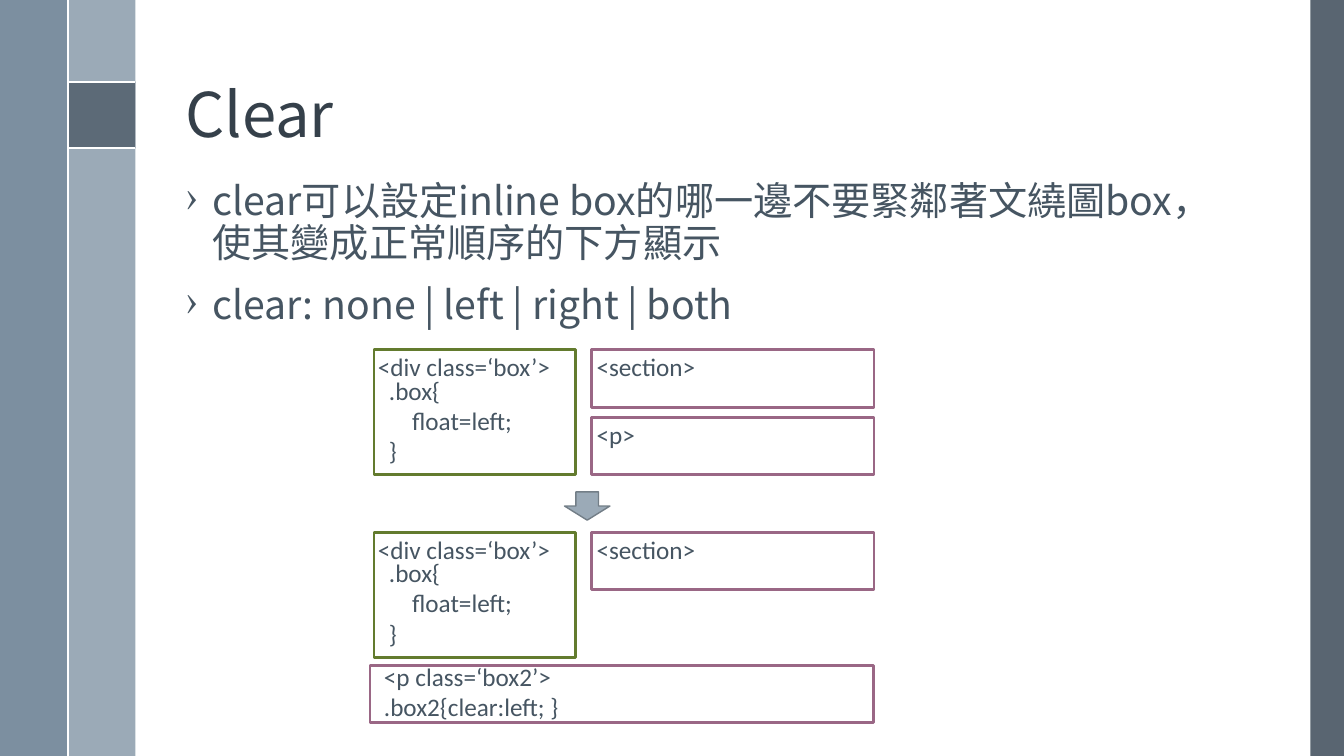
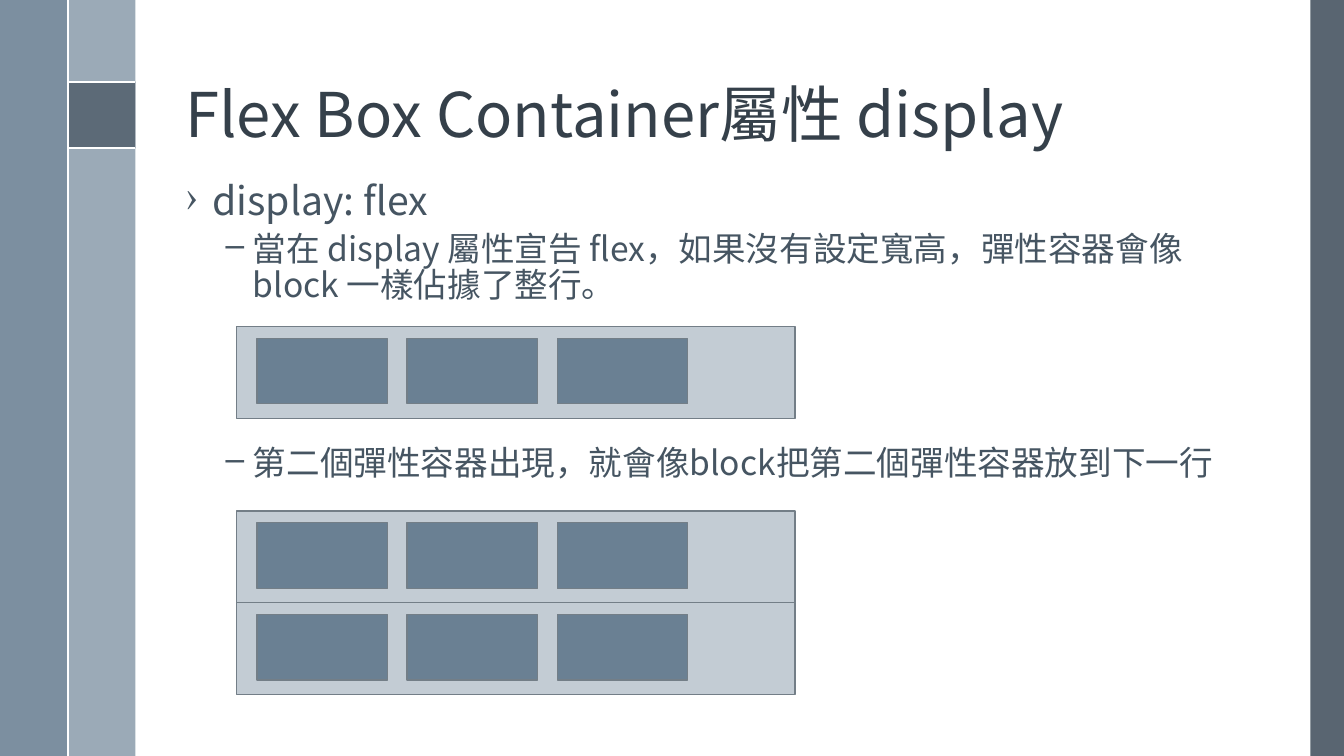
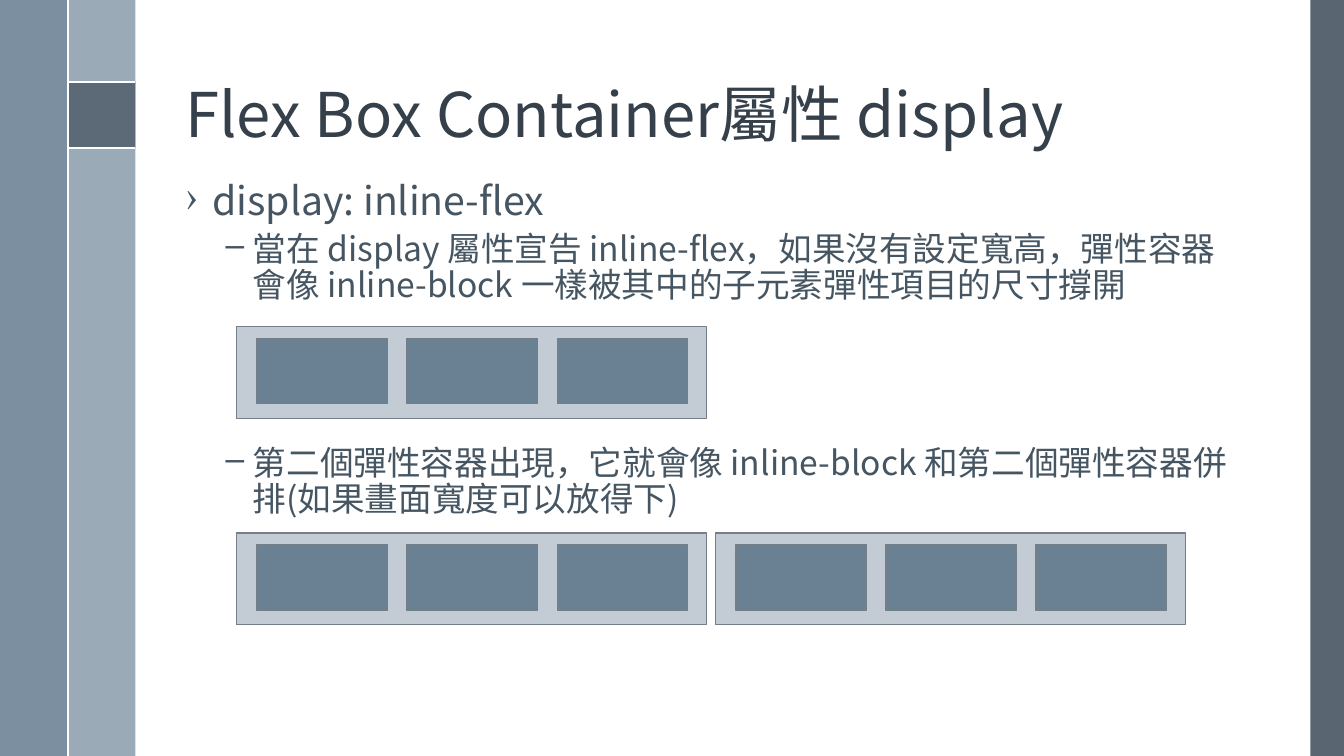
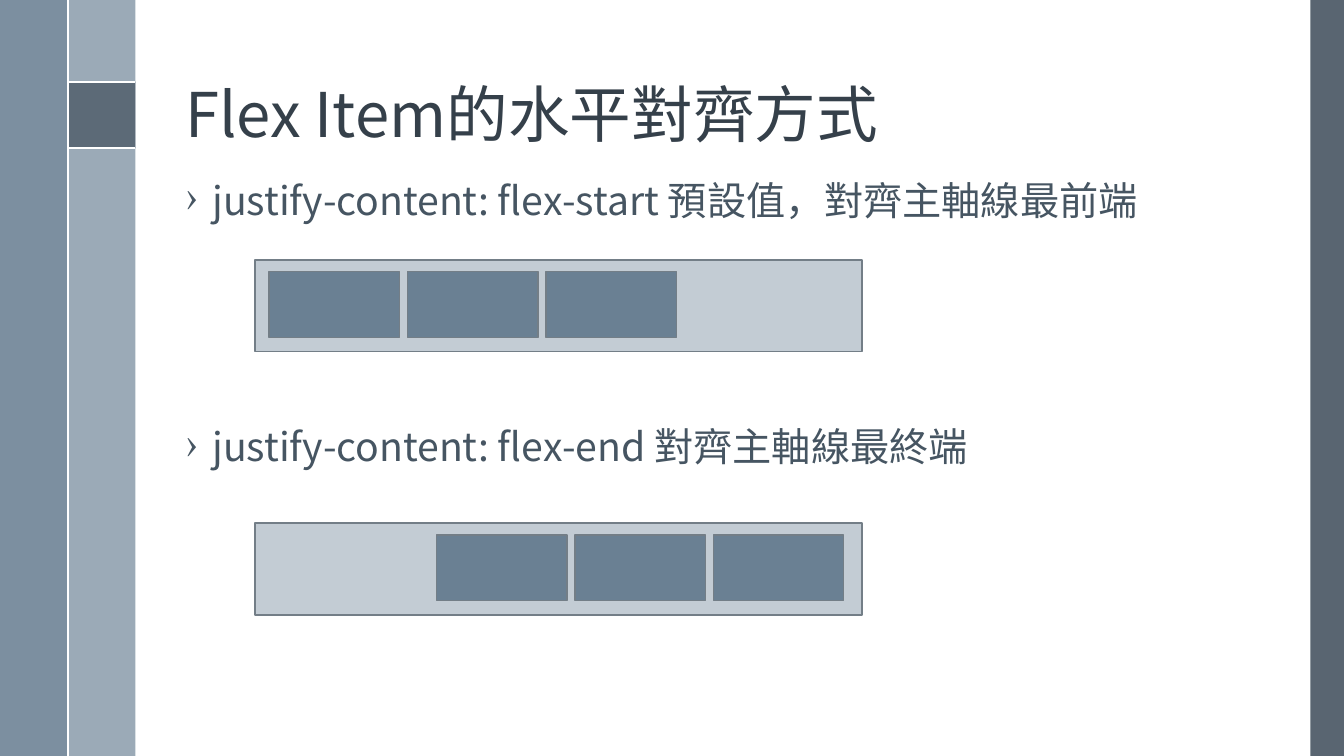
from pptx import Presentation, util as u
from pptx.dml.color import RGBColor
from pptx.enum import shapes, text
from pptx.oxml.ns import qn
from lxml import etree

# Colours and fonts
WHITE = RGBColor(0xFF, 0xFF, 0xFF)
TITLE_INK = RGBColor(0x35, 0x40, 0x4A)
BODY_INK = RGBColor(0x46, 0x55, 0x62)
SLATE = RGBColor(0x47, 0x55, 0x62)
STEEL = RGBColor(0x6A, 0x80, 0x93)
MIST = RGBColor(0x9B, 0xAA, 0xB7)
PALE = RGBColor(0xC3, 0xCC, 0xD4)
EDGE = RGBColor(0x73, 0x7E, 0x87)
GREEN = RGBColor(0x63, 0x7B, 0x2E)
PLUM = RGBColor(0x9A, 0x67, 0x85)
HEAD_FONT, CODE_FONT = "Noto Sans CJK TC", "Calibri"

# Slide size; every position is a percentage of it
deck = Presentation()
deck.slide_width, deck.slide_height = u.Inches(13.333), u.Inches(7.5)
COL, ROW = deck.slide_width / 100, deck.slide_height / 100

# Paragraph styles; indent and hang are in inches, before is in points
TITLE = dict(size=44, color=TITLE_INK, font=HEAD_FONT, spacing=0.9)
POINT = dict(size=28, color=BODY_INK, font=HEAD_FONT, spacing=0.9,
             before=14, bullet="›", indent=0.27, hang=0.27)
SUBPOINT = POINT | dict(size=24, before=6, bullet="–", indent=0.67)
POINT_BELOW = POINT | dict(before=146)
SUBPOINT_BELOW = SUBPOINT | dict(before=101)
CODE = dict(size=18, color=BODY_INK, font=CODE_FONT)
CODE_INNER = CODE | dict(indent=0.23)


def add_block(page, area, fill=None, edge=None, weight=1, opacity=100, kind="RECTANGLE"):
    left, top, width, height = area
    block = page.shapes.add_shape(getattr(shapes.MSO_SHAPE, kind), round(left * COL),
                                  round(top * ROW), round(width * COL), round(height * ROW))
    block.shadow.inherit = False
    if fill is None:
        block.fill.background()
    else:
        block.fill.solid()
        block.fill.fore_color.rgb = fill
        if opacity < 100:
            color = block.fill._xPr.find(".//" + qn("a:srgbClr"))
            etree.SubElement(color, qn("a:alpha"), val=str(opacity * 1000))
    if edge is None:
        block.line.fill.background()
    else:
        block.line.color.rgb = edge
        block.line.width = u.Pt(weight)


def add_text(page, area, lines, anchor=text.MSO_ANCHOR.TOP):
    left, top, width, height = area
    box = page.shapes.add_textbox(round(left * COL), round(top * ROW),
                                  round(width * COL), round(height * ROW))
    frame = box.text_frame
    frame.word_wrap, frame.vertical_anchor = True, anchor
    for number, (words, style) in enumerate(lines):
        para = frame.paragraphs[0] if number == 0 else frame.add_paragraph()
        para.line_spacing = style.get("spacing")
        para.space_before = u.Pt(style.get("before", 0))
        props = para._p.get_or_add_pPr()
        props.set("marL", str(u.Inches(style.get("indent", 0))))
        props.set("indent", str(-u.Inches(style.get("hang", 0))))
        if "bullet" in style:
            etree.SubElement(props, qn("a:buChar"), char=style["bullet"])
        span = para.add_run()
        span.text = words
        formats = dict(name=style["font"], size=u.Pt(style["size"]))
        for name, value in formats.items():
            setattr(span.font, name, value)
        span.font.color.rgb = style["color"]
        etree.SubElement(span._r.rPr, qn("a:ea"), typeface=style["font"])


# Titles and bullet text of the four slides
DISPLAY_TITLE = "Flex Box Container屬性 display"
contents = [
    ("Clear", [
        ("clear可以設定inline box的哪一邊不要緊鄰著文繞圖box，使其變成正常順序的下方顯示", POINT),
        ("clear: none | left | right | both", POINT)]),
    (DISPLAY_TITLE, [
        ("display: flex", POINT),
        ("當在 display 屬性宣告 flex，如果沒有設定寬高，彈性容器會像 block 一樣佔據了整行。", SUBPOINT),
        ("第二個彈性容器出現，就會像block把第二個彈性容器放到下一行", SUBPOINT_BELOW)]),
    (DISPLAY_TITLE, [
        ("display: inline-flex", POINT),
        ("當在 display 屬性宣告 inline-flex，如果沒有設定寬高，彈性容器會像 inline-block "
         "一樣被其中的子元素彈性項目的尺寸撐開", SUBPOINT),
        ("第二個彈性容器出現，它就會像 inline-block 和第二個彈性容器併排(如果畫面寬度可以放得下)",
         SUBPOINT_BELOW)]),
    ("Flex Item的水平對齊方式", [
        ("justify-content: flex-start 預設值，對齊主軸線最前端", POINT),
        ("justify-content: flex-end 對齊主軸線最終端", POINT_BELOW)]),
]

# Shared frame: side bands, white rules, title and body
STRIP = 5
MARK_TOP, MARK_BOTTOM = 10.8, 19.6
bands = [
    ((97.5, 0, 2.5, 100), SLATE, 90),
    ((STRIP + 0.08, 0, STRIP, 100), MIST, 100),
    ((0, 0, STRIP, 100), STEEL, 88),
    ((STRIP + 0.08, MARK_TOP, STRIP, MARK_BOTTOM - MARK_TOP), SLATE, 75),
]
rules = [
    (STRIP + 0.08, MARK_TOP, 2 * STRIP + 0.08, MARK_TOP),
    (STRIP + 0.08, MARK_BOTTOM, 2 * STRIP + 0.08, MARK_BOTTOM),
    (STRIP + 0.08, 0, STRIP + 0.08, 100),
]
pages = []
for title, lines in contents:
    page = deck.slides.add_slide(deck.slide_layouts[6])
    pages.append(page)
    for area, fill, opacity in bands:
        add_block(page, area, fill, opacity=opacity)
    for x1, y1, x2, y2 in rules:
        rule = page.shapes.add_connector(shapes.MSO_CONNECTOR.STRAIGHT, round(x1 * COL),
                                         round(y1 * ROW), round(x2 * COL), round(y2 * ROW))
        rule.line.color.rgb, rule.line.width = WHITE, u.Pt(1.5)
        etree.SubElement(rule._element.spPr, qn("a:effectLst"))
    add_text(page, (13.05, 2.53, 80.25, 18.13), [(title, TITLE)], text.MSO_ANCHOR.BOTTOM)
    add_text(page, (13.05, 23.33, 80.25, 66.67), lines)

# Slide 1: floated box before and after clear
clear_page = pages[0]
BAR_LEFT, BAR_WIDTH, BAR_HEIGHT = 44.03, 21, 7.6
for top, bars in [(46.27, ["<section>", "<p>"]), (70.4, ["<section>"])]:
    add_block(clear_page, (27.83, top, 15, 16.53), edge=GREEN, weight=2)
    add_text(clear_page, (27.38, top - 0.4, 16, 5.33), [("<div class=‘box’>", CODE)])
    add_text(clear_page, (28.2, top + 2.67, 11.33, 17.47),
             [(".box{", CODE), ("float=left;", CODE_INNER), ("}", CODE)])
    for row, tag in enumerate(bars):
        bar_top = top + row * 8.93
        add_block(clear_page, (BAR_LEFT, bar_top, BAR_WIDTH, BAR_HEIGHT), edge=PLUM, weight=2)
        add_text(clear_page, (43.65, bar_top - 0.4, 10, 5.33), [(tag, CODE)])
add_block(clear_page, (27.53, 88, 37.45, BAR_HEIGHT), edge=PLUM, weight=2)
add_text(clear_page, (27.83, 86.8, 15.68, 9.47),
         [("<p class=‘box2’>", CODE), (".box2{clear:left; }", CODE)])
add_block(clear_page, (42, 65.07, 3.38, 3.73), MIST, EDGE, kind="DOWN_ARROW")

# Slides 2 to 4: containers as (page, left, top, width, item inset, item pitch)
containers = [
    (1, 17.62, 43.2, 41.55, 1.5, 11.17),
    (1, 17.62, 67.6, 41.55, 1.5, 11.17),
    (1, 17.62, 79.73, 41.55, 1.5, 11.17),
    (2, 17.62, 43.2, 34.95, 1.5, 11.17),
    (2, 17.62, 70.5, 34.95, 1.5, 11.17),
    (2, 53.25, 70.5, 34.95, 1.5, 11.17),
    (3, 18.98, 34.4, 45.15, 1.05, 10.3),
    (3, 18.98, 69.2, 45.15, 13.5, 10.3),
]
for index, left, top, width, inset, pitch in containers:
    add_block(pages[index], (left, top, width, 12.13), PALE, EDGE)
    for item in range(3):
        add_block(pages[index], (left + inset + item * pitch, top + 1.55, 9.7, 8.67), STEEL, EDGE)

deck.save("out.pptx")
